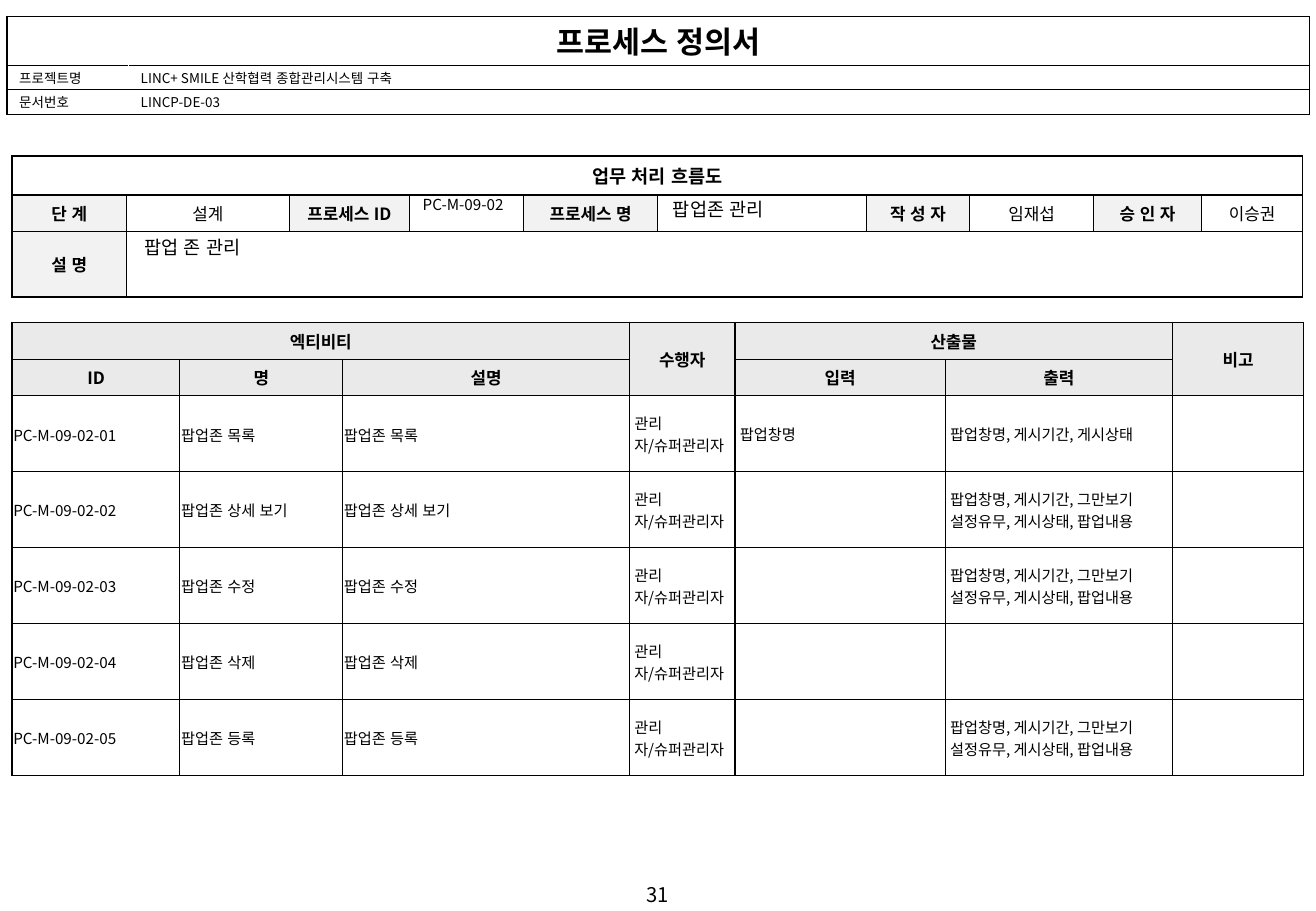
from dataclasses import dataclass
from typing import Optional

import pptx
import pptx.dml.color
import pptx.enum.lang
import pptx.enum.text
import pptx.oxml
import pptx.oxml.ns
import pptx.util

Pt = pptx.util.Pt
Align = pptx.enum.text.PP_ALIGN
Anchor = pptx.enum.text.MSO_ANCHOR


@dataclass(frozen=True)
class Theme:
    font: str = "Noto Sans CJK KR"
    ink: str = "000000"
    paper: str = "FFFFFF"
    label: str = "F2F2F2"
    heading: str = "EAEAEA"
    title_size: float = 18
    number_size: float = 12
    section_size: float = 11
    label_size: float = 10
    body_size: float = 9
    small_size: float = 8
    thick: float = 1
    thin: float = 0.75


THEME = Theme()
BOX_INSETS = (7.2, 3.6, 7.2, 3.6)
TITLE_INSETS = (7.2, 1.44, 7.2, 1.44)


@dataclass(frozen=True)
class Style:
    size: float
    bold: bool = False
    fill: Optional[str] = None
    align: Align = Align.CENTER
    anchor: Anchor = Anchor.MIDDLE
    insets: tuple[float, float, float, float] = BOX_INSETS


@dataclass(frozen=True)
class Cell:
    text: str
    style: Style
    rows: int = 1
    columns: int = 1


@dataclass(frozen=True)
class Grid:
    left: float
    top: float
    widths: list[float]
    heights: list[float]
    cells: list[list[Optional[Cell]]]
    line: float = THEME.thin
    thick_sides: str = ""
    inner_vertical: str = THEME.ink


@dataclass(frozen=True)
class Note:
    text: str
    left: float
    top: float
    width: float
    height: float
    style: Style


TITLE = Style(THEME.title_size, True, THEME.paper, anchor=Anchor.TOP, insets=TITLE_INSETS)
FIELD = Style(THEME.small_size, False, THEME.paper, Align.LEFT, Anchor.TOP, TITLE_INSETS)
SECTION = Style(THEME.section_size, True, THEME.paper)
LABEL = Style(THEME.label_size, True, THEME.label)
VALUE = Style(THEME.label_size, False, THEME.paper)
HEADING = Style(THEME.label_size, True, THEME.heading)
ACTIVITY = Style(THEME.body_size, align=Align.LEFT, insets=(0.7, 0.7, 0.7, 0))
DETAIL = Style(THEME.body_size, align=Align.LEFT, insets=(2.9, 2.9, 2.9, 2.9))
SMALL_NOTE = Style(THEME.body_size, align=Align.LEFT, anchor=Anchor.TOP)
LARGE_NOTE = Style(THEME.section_size, align=Align.LEFT, anchor=Anchor.TOP)
NUMBER = Style(THEME.number_size)


def format_paragraph(para, text: str, style: Style) -> None:
    para.text = text
    para.alignment = style.align
    for span in para.runs:
        span.font.size = Pt(style.size)
        span.font.bold = style.bold
        span.font.name = THEME.font
        span.font.language_id = pptx.enum.lang.MSO_LANGUAGE_ID.KOREAN
        span.font.color.rgb = pptx.dml.color.RGBColor.from_string(THEME.ink)
        east_asian = pptx.oxml.parse_xml(
            f'<a:ea {pptx.oxml.ns.nsdecls("a")} typeface="{THEME.font}"/>')
        span.font._element.find(pptx.oxml.ns.qn("a:latin")).addnext(east_asian)
    if not text:
        para._p.append(pptx.oxml.parse_xml(
            f'<a:endParaRPr {pptx.oxml.ns.nsdecls("a")} sz="{style.size * 100:.0f}"/>'))


def set_insets(target, style: Style) -> None:
    target.margin_left, target.margin_top, target.margin_right, target.margin_bottom = map(
        Pt, style.insets)
    target.vertical_anchor = style.anchor


def draw_borders(table_cell, grid: Grid, row: int, column: int, cell: Cell) -> None:
    outer = {
        "L": column == 0,
        "R": column + cell.columns == len(grid.widths),
        "T": row == 0,
        "B": row + cell.rows == len(grid.heights),
    }
    for side, is_outer in outer.items():
        width = THEME.thick if is_outer and side in grid.thick_sides else grid.line
        color = THEME.ink if is_outer or side in "TB" else grid.inner_vertical
        table_cell._tc.get_or_add_tcPr().append(pptx.oxml.parse_xml(
            f'<a:ln{side} {pptx.oxml.ns.nsdecls("a")} w="{Pt(width)}">'
            f'<a:solidFill><a:srgbClr val="{color}"/></a:solidFill></a:ln{side}>'))


def draw_grid(page, grid: Grid) -> None:
    table = page.shapes.add_table(
        len(grid.heights), len(grid.widths), Pt(grid.left), Pt(grid.top),
        Pt(sum(grid.widths)), Pt(sum(grid.heights))).table
    table.first_row = table.horz_banding = False
    for column, width in zip(table.columns, grid.widths):
        column.width = Pt(width)
    for row, height in zip(table.rows, grid.heights):
        row.height = Pt(height)
    for row, cells in enumerate(grid.cells):
        for column, cell in enumerate(cells):
            if cell is None:
                continue
            table_cell = table.cell(row, column)
            if cell.rows * cell.columns > 1:
                table_cell.merge(table.cell(row + cell.rows - 1, column + cell.columns - 1))
            set_insets(table_cell, cell.style)
            format_paragraph(table_cell.text_frame.paragraphs[0], cell.text, cell.style)
            draw_borders(table_cell, grid, row, column, cell)
            if cell.style.fill:
                table_cell.fill.solid()
                table_cell.fill.fore_color.rgb = pptx.dml.color.RGBColor.from_string(
                    cell.style.fill)
            else:
                table_cell.fill.background()


def draw_note(page, note: Note) -> None:
    box = page.shapes.add_textbox(Pt(note.left), Pt(note.top), Pt(note.width), Pt(note.height))
    box.text_frame.word_wrap = True
    set_insets(box.text_frame, note.style)
    format_paragraph(box.text_frame.paragraphs[0], note.text, note.style)


def activity_row(number: int, name: str, given: str, result: str) -> list[Optional[Cell]]:
    activity = [f"PC-M-09-02-{number:02}", name, name]
    details = ["관리자/슈퍼관리자", given, result, ""]
    return [Cell(text, ACTIVITY) for text in activity] + [Cell(text, DETAIL) for text in details]


FULL_RESULT = "팝업창명, 게시기간, 그만보기 설정유무, 게시상태, 팝업내용"
ACTIVITIES = [
    ("팝업존 목록", "팝업창명", "팝업창명, 게시기간, 게시상태"),
    ("팝업존 상세 보기", "", FULL_RESULT),
    ("팝업존 수정", "", FULL_RESULT),
    ("팝업존 삭제", "", ""),
    ("팝업존 등록", "", FULL_RESULT),
]
PROCESS = [("단 계", "설계"), ("프로세스 ID", ""), ("프로세스 명", ""),
           ("작 성 자", "임재섭"), ("승 인 자", "이승권")]

GRIDS = [
    Grid(4.2, 9.7, [72, 699.8], [29, 14.5, 14.5], [
        [Cell("프로세스 정의서", TITLE, columns=2), None],
        [Cell("프로젝트명", FIELD), Cell("LINC+ SMILE 산학협력 종합관리시스템 구축", FIELD)],
        [Cell("문서번호", FIELD), Cell("LINCP-DE-03", FIELD)],
    ], line=THEME.thick, inner_vertical=THEME.paper),
    Grid(7.2, 92.4, [67.7, 96.5, 71.3, 67.7, 79.2, 123.8, 61.2, 73.4, 64.1, 59.8],
         [23.2, 21.7, 38.9], [
        [Cell("업무 처리 흐름도", SECTION, columns=10)],
        [Cell(text, style) for pair in PROCESS for text, style in zip(pair, (LABEL, VALUE))],
        [Cell("설 명", LABEL), Cell("", VALUE, columns=9)],
    ], thick_sides="LTRB"),
    Grid(7.2, 191.3, [99.4, 96.5, 169.9, 62.6, 124.6, 134.6, 77.8],
         [21.7] * 2 + [44.9] * len(ACTIVITIES), [
        [Cell("엑티비티", HEADING, columns=3), None, None, Cell("수행자", HEADING, rows=2),
         Cell("산출물", HEADING, columns=2), None, Cell("비고", HEADING, rows=2)],
        [Cell(text, HEADING) if text else None
         for text in ("ID", "명", "설명", "", "입력", "출력", "")],
        *[activity_row(number, *activity) for number, activity in enumerate(ACTIVITIES, 1)],
    ], thick_sides="L"),
]
NOTES = [
    Note("31", 0, 519.1, 779.8, 21.6, NUMBER),
    Note("PC-M-09-02", 243.4, 112.3, 67, 18, SMALL_NOTE),
    Note("팝업존 관리", 391.7, 113.8, 123.1, 20.9, LARGE_NOTE),
    Note("팝업 존 관리", 78.5, 136.1, 686.2, 20.9, LARGE_NOTE),
]


def main() -> None:
    deck = pptx.Presentation()
    deck.slide_width, deck.slide_height = Pt(779.8), Pt(540)
    page = deck.slides.add_slide(deck.slide_layouts[6])
    for grid in GRIDS:
        draw_grid(page, grid)
    for note in NOTES:
        draw_note(page, note)
    deck.save("out.pptx")


if __name__ == "__main__":
    main()
